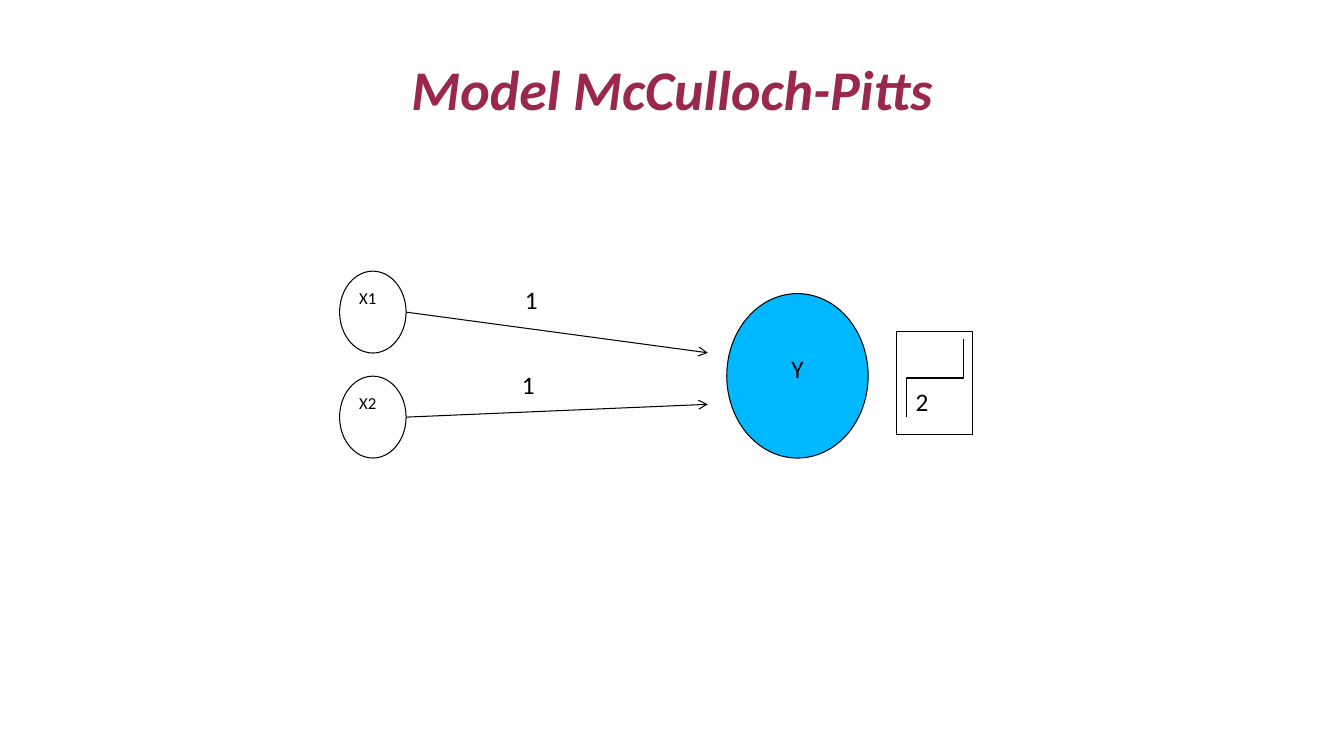
from dataclasses import dataclass

from lxml import etree
from pptx import Presentation
from pptx.dml.color import RGBColor
from pptx.enum.shapes import MSO_CONNECTOR, MSO_SHAPE
from pptx.enum.text import MSO_ANCHOR, PP_ALIGN
from pptx.oxml.ns import qn
from pptx.util import Pt

OVAL = MSO_SHAPE.OVAL
RECTANGLE = MSO_SHAPE.RECTANGLE
STRAIGHT = MSO_CONNECTOR.STRAIGHT
ELBOW = MSO_CONNECTOR.ELBOW
TOP = MSO_ANCHOR.TOP
LEFT = PP_ALIGN.LEFT
CENTER = PP_ALIGN.CENTER


@dataclass(frozen=True)
class Theme:
    font: str = "Calibri"
    ink: RGBColor = RGBColor(0x00, 0x00, 0x00)
    paper: RGBColor = RGBColor(0xFF, 0xFF, 0xFF)
    output: RGBColor = RGBColor(0x00, 0xB8, 0xFF)
    heading: RGBColor = RGBColor(0x99, 0x28, 0x4C)
    heading_size: float = 40
    label_size: float = 18
    input_size: float = 12
    stroke: float = 0.75


THEME = Theme()


@dataclass(frozen=True)
class Box:
    left: float
    top: float
    width: float
    height: float

    def inner(self, dx, dy, width, height):
        return Box(self.left + dx, self.top + dy, width, height)

    def lengths(self):
        return Pt(self.left), Pt(self.top), Pt(self.width), Pt(self.height)


def write(frame, text, size, color=THEME.ink, align=LEFT, wrap=True):
    frame.word_wrap = wrap
    frame.vertical_anchor = TOP
    paragraph = frame.paragraphs[0]
    paragraph.text = text
    paragraph.alignment = align
    paragraph.font.name = THEME.font
    paragraph.font.size = Pt(size)
    paragraph.font.color.rgb = color
    return paragraph


def add_label(slide, box, text, size=THEME.label_size, **style):
    label = slide.shapes.add_textbox(*box.lengths())
    return write(label.text_frame, text, size, **style)


def add_outline(slide, kind, box, fill=None):
    outline = slide.shapes.add_shape(kind, *box.lengths())
    outline.shadow.inherit = False
    if fill is None:
        outline.fill.background()
    else:
        outline.fill.solid()
        outline.fill.fore_color.rgb = fill
    outline.line.color.rgb = THEME.ink
    outline.line.width = Pt(THEME.stroke)
    return outline


def add_line(slide, kind, start, end):
    line = slide.shapes.add_connector(kind, *map(Pt, start + end))
    line.line.color.rgb = THEME.ink
    line.line.width = Pt(THEME.stroke)
    etree.SubElement(line._element.spPr, qn("a:effectLst"))
    return line


def add_heading(slide, box):
    heading = add_label(slide, box, "Model McCulloch-Pitts", THEME.heading_size,
                        color=THEME.heading, align=CENTER)
    heading.font.bold = True
    heading.font.italic = True


def add_network(slide, box):
    input_width, input_height, input_pitch = 47.5, 58.5, 75
    output_width, output_height = 101, 117.5
    arrow_end = box.left + 263

    inputs = (("X1", 58.3, 125.3, 5.8), ("X2", 95.1, 123.1, 66.3))
    for row, (name, end_dy, weight_dx, weight_dy) in enumerate(inputs):
        place = box.inner(0, row * input_pitch, input_width, input_height)
        neuron = add_outline(slide, OVAL, place, THEME.paper)
        write(neuron.text_frame, name, THEME.input_size)

        start = (place.left + input_width, place.top + input_height / 2)
        arrow = add_line(slide, STRAIGHT, start, (arrow_end, box.top + end_dy))
        etree.SubElement(arrow.line._get_or_add_ln(), qn("a:tailEnd"), type="arrow")
        add_label(slide, box.inner(weight_dx, weight_dy, 23.8, 29), "1", wrap=False)

    output_place = box.inner(box.width - output_width, box.height - output_height,
                             output_width, output_height)
    output = add_outline(slide, OVAL, output_place, THEME.output)
    output.text_frame.margin_top = Pt(25.6)
    write(output.text_frame, "Y", THEME.label_size, align=CENTER)


def add_threshold(slide, box):
    step_width, step_height = 40.3, 56.2
    center_x, center_y = box.left + 27.3, box.top + 33.1
    step = add_line(slide, ELBOW,
                    (center_x + step_height / 2, center_y + step_width / 2),
                    (center_x - step_height / 2, center_y - step_width / 2))
    step._element.spPr.find(qn("a:xfrm")).set("rot", "5400000")
    add_label(slide, box.inner(6.5, 35.3, 22.3, 29), "2")
    add_outline(slide, RECTANGLE, box)


def main():
    deck = Presentation()
    deck.slide_width, deck.slide_height = Pt(960), Pt(540)
    slide = deck.slides.add_slide(deck.slide_layouts[6])
    add_network(slide, Box(242.6, 193.7, 377.5, 133.5))
    add_threshold(slide, Box(640.5, 236.9, 54, 73.5))
    add_heading(slide, Box(173, 35.3, 614, 89.3))
    deck.save("out.pptx")


if __name__ == "__main__":
    main()
